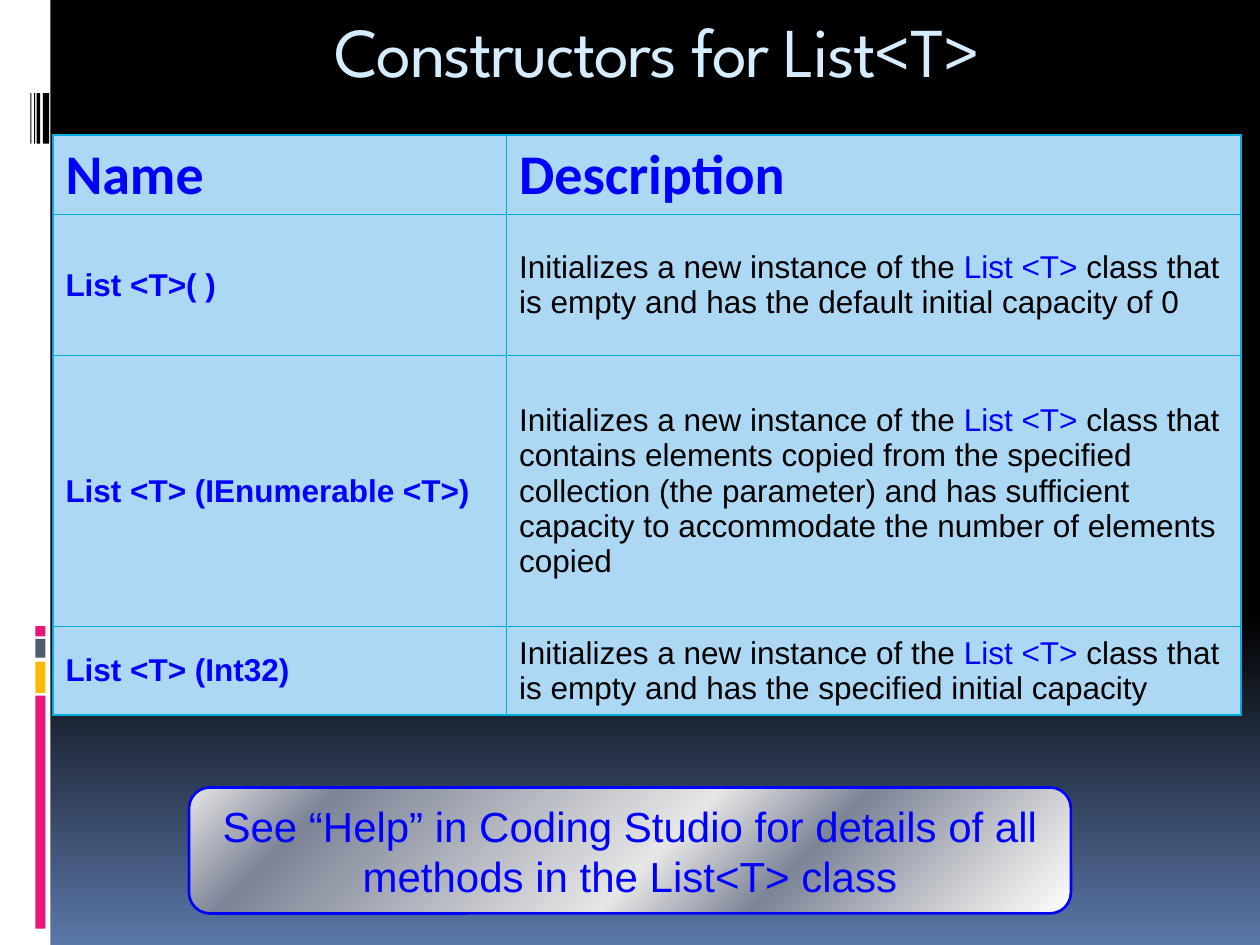
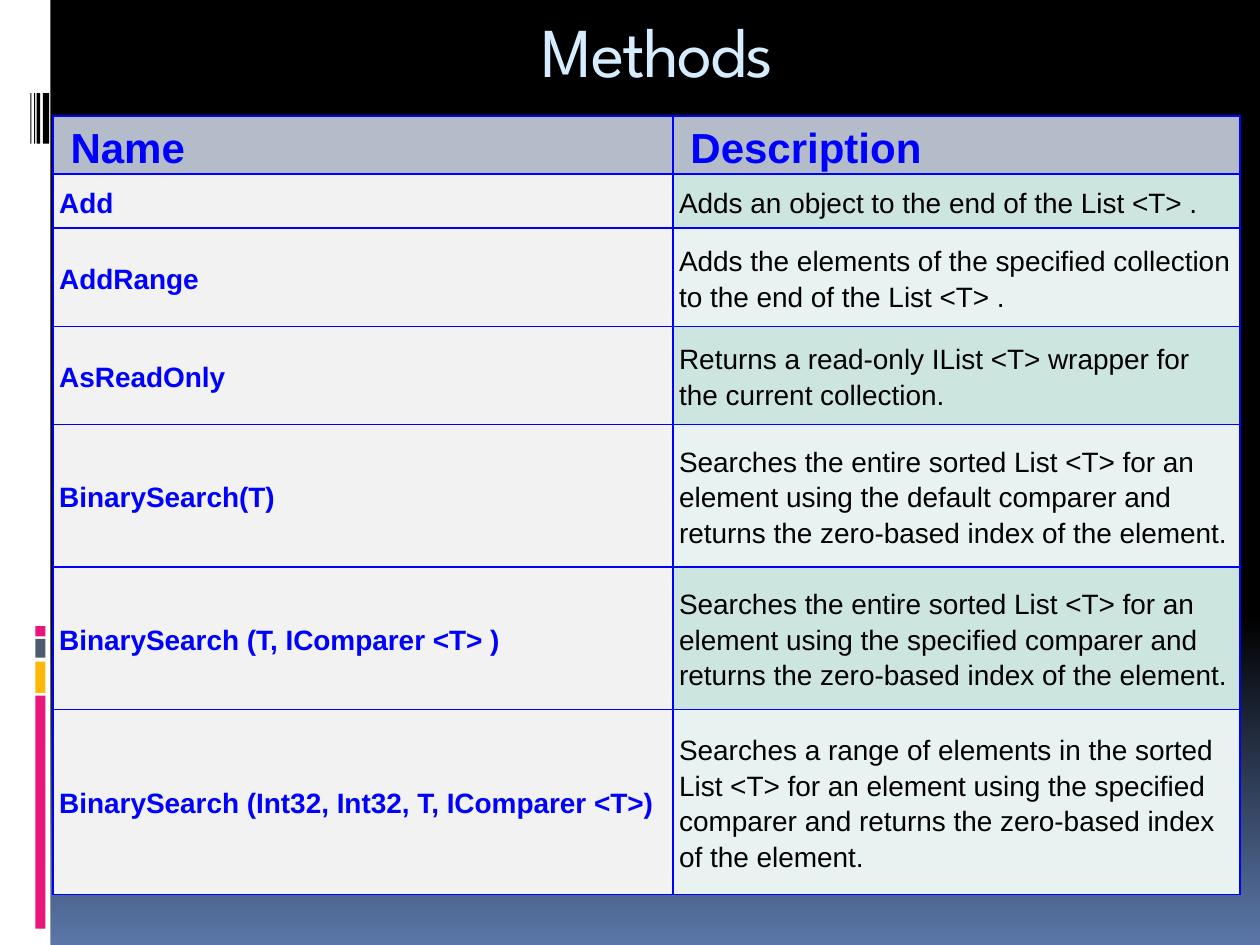
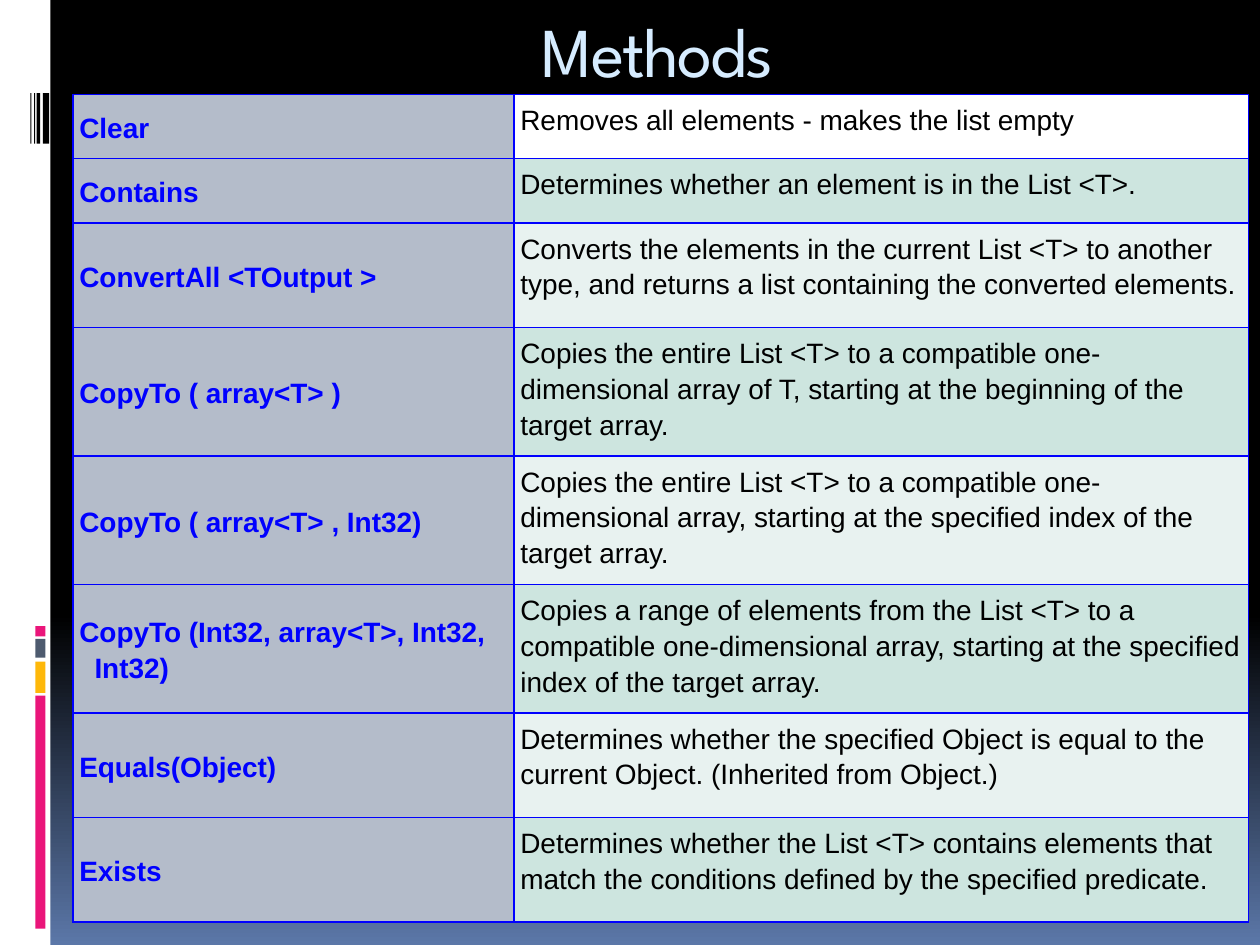
from lxml import etree
from pptx import Presentation
from pptx import util as u
from pptx.dml.color import RGBColor
from pptx.enum import shapes, text
from pptx.oxml.ns import qn

BLACK = RGBColor(0x00, 0x00, 0x00)
WHITE = RGBColor(0xFF, 0xFF, 0xFF)
BLUE = RGBColor(0x00, 0x00, 0xFF)
CYAN = RGBColor(0x00, 0xAD, 0xDC)
STEEL = RGBColor(0x5B, 0x77, 0xA8)
PINK = RGBColor(0xEA, 0x15, 0x7A)
GOLD = RGBColor(0xFE, 0xB8, 0x0A)
SLATE = RGBColor(0x4E, 0x5B, 0x6F)
ICE = RGBColor(0xD6, 0xEC, 0xFF)
SKY = RGBColor(0xAC, 0xD8, 0xF3)
GREY = RGBColor(0xB4, 0xBC, 0xCA)
MIST = RGBColor(0xF2, 0xF2, 0xF2)
MINT = RGBColor(0xCD, 0xE5, 0xDF)
PALE = RGBColor(0xE8, 0xF2, 0xF0)
SILVER = RGBColor(0xE6, 0xE6, 0xE6)
LEAD = RGBColor(0x7D, 0x84, 0x96)

COLS, ROWS = 100, 75
UNIT = u.Inches(0.1)
MID = text.MSO_ANCHOR.MIDDLE
TOP = text.MSO_ANCHOR.TOP
CENTER = text.PP_ALIGN.CENTER
TYPE = "List <T>"

BARS = [
    (0, 0, 4, ROWS, WHITE),
    (2.8, 55.2, 0.8, 18.5, PINK),
    (2.8, 52.5, 0.8, 2.5, GOLD),
    (2.8, 50.7, 0.8, 1.5, SLATE),
    (2.8, 49.7, 0.8, 0.8, PINK),
    (3.4, 7.4, 0.5, 4, BLACK),
    (2.9, 7.4, 0.3, 4, BLACK),
    (2.7, 7.4, 0.1, 4, BLACK),
    (2.4, 7.4, 0.1, 4, BLACK),
]

NAMES = {"size": u.Pt(16), "name": "Arial", "bold": True}
NOTES = {"size": u.Pt(16), "name": "Arial", "bold": False}
LOOSE = {"line_spacing": 1.15, "space_before": u.Pt(3.8),
         "space_after": u.Pt(3.8)}

BUILDS = [
    ("List <T>( )", "Initializes a new instance of the List <T> class that "
     "is empty and has the default initial capacity of 0"),
    ("List <T> (IEnumerable <T>)",
     "Initializes a new instance of the List <T> class that contains elements "
     "copied from the specified collection (the parameter) and has sufficient "
     "capacity to accommodate the number of elements copied"),
    ("List <T> (Int32)", "Initializes a new instance of the List <T> class "
     "that is empty and has the specified initial capacity"),
]
ADDS = [
    ("Add", "Adds an object to the end of the List <T> ."),
    ("AddRange", "Adds the elements of the specified collection to the end "
     "of the List <T> ."),
    ("AsReadOnly",
     "Returns a read-only IList <T> wrapper for the current collection."),
    ("BinarySearch(T)",
     "Searches the entire sorted List <T> for an element using the default "
     "comparer and returns the zero-based index of the element."),
    ("BinarySearch (T, IComparer <T> )",
     "Searches the entire sorted List <T> for an element using the specified "
     "comparer and returns the zero-based index of the element."),
    ("BinarySearch (Int32, Int32, T, IComparer <T>)",
     "Searches a range of elements in the sorted List <T> for an element "
     "using the specified comparer and returns the zero-based index of the "
     "element."),
]
COPIES = [
    ("Clear", "Removes all elements - makes the list empty"),
    ("Contains", "Determines whether an element is in the List <T>."),
    ("ConvertAll <TOutput >",
     "Converts the elements in the current List <T> to another type, and "
     "returns a list containing the converted elements."),
    ("CopyTo ( array<T> )",
     "Copies the entire List <T> to a compatible one-dimensional array of T, "
     "starting at the beginning of the target array."),
    ("CopyTo ( array<T> , Int32)",
     "Copies the entire List <T> to a compatible one-dimensional array, "
     "starting at the specified index of the target array."),
    ("CopyTo (Int32, array<T>, Int32, Int32)",
     "Copies a range of elements from the List <T> to a compatible "
     "one-dimensional array, starting at the specified index of the target "
     "array."),
    ("Equals(Object)", "Determines whether the specified Object is equal to "
     "the current Object. (Inherited from Object.)"),
    ("Exists", "Determines whether the List <T> contains elements that match "
     "the conditions defined by the specified predicate."),
]


def at(*cells):
    """Turn grid columns and rows into lengths."""
    return [round(c * UNIT) for c in cells]


def put(item, vals):
    """Set each named format value on an item."""
    for key, val in vals.items():
        setattr(item, key, val)


def write(para, words, color, font):
    """Add one run of formatted text."""
    run = para.add_run()
    run.text = words
    put(run.font, font)
    run.font.color.rgb = color
    return run


def blend(fill, root, stops):
    """Give a fill several gradient stops and return its node."""
    fill.gradient()
    grad = root.find(".//" + qn("a:gradFill"))
    for node in list(grad):
        grad.remove(node)
    group = etree.SubElement(grad, qn("a:gsLst"))
    for pos, color in stops:
        stop = etree.SubElement(group, qn("a:gs"), pos=str(pos * 1000))
        etree.SubElement(stop, qn("a:srgbClr"), val=str(color))
    return grad


def shape(slide, kind, box):
    """Add a preset shape without a shadow."""
    item = slide.shapes.add_shape(kind, *at(*box))
    item.shadow.inherit = False
    return item


def theme(deck, slide):
    """Give the master its background and side bars."""
    master = deck.slide_master
    grad = blend(master.background.fill, master.element,
                 [(0, BLACK), (65, BLACK), (100, STEEL)])
    etree.SubElement(grad, qn("a:lin"), ang="5400000", scaled="0")
    for num, (*box, color) in enumerate(BARS, 20):
        bar = shape(slide, shapes.MSO_SHAPE.RECTANGLE, box)
        bar.fill.solid()
        bar.fill.fore_color.rgb = color
        bar.line.fill.background()
        bar.element.find(".//" + qn("p:cNvPr")).set("id", str(num))
        master.element.cSld.spTree.append(bar.element)


def title(slide, words):
    """Add the slide title."""
    frame = slide.shapes.add_textbox(*at(4.2, 0.1, 96, 6.9)).text_frame
    put(frame, {"word_wrap": True, "vertical_anchor": TOP})
    para = frame.paragraphs[0]
    para.alignment = CENTER
    run = write(para, words, ICE, {"size": u.Pt(40), "name": "League Spartan"})
    run.font.element.set("spc", "-100") if hasattr(run.font, "element") else \
        run._r.get_or_add_rPr().set("spc", "-100")


def edge(cell, color, width):
    """Draw the four borders of a cell."""
    props = cell._tc.get_or_add_tcPr()
    for spot, side in enumerate(("lnL", "lnR", "lnT", "lnB")):
        line = etree.Element(qn("a:" + side), w=str(u.Pt(width)))
        paint = etree.SubElement(line, qn("a:solidFill"))
        etree.SubElement(paint, qn("a:srgbClr"), val=str(color))
        props.insert(spot, line)


def pad(cell, wide, high):
    """Set the side and the upper and lower margins of a cell."""
    for side in ("left", "right"):
        setattr(cell, "margin_" + side, u.Inches(wide))
    for side in ("top", "bottom"):
        setattr(cell, "margin_" + side, u.Inches(high))


def fill(cell, parts, font, color, anchor=MID, gaps=None):
    """Fill a cell with colored parts of text."""
    cell.vertical_anchor = anchor
    cell.fill.solid()
    cell.fill.fore_color.rgb = color
    para = cell.text_frame.paragraphs[0]
    put(para, gaps or {})
    for words, ink in parts:
        write(para, words, ink, font)


def table(slide, spot, cols, rows, line, width):
    """Add a bare table with borders and return it."""
    frame = slide.shapes.add_table(len(rows), len(cols),
                                   *at(*spot, sum(cols), sum(rows)))
    grid = frame.table
    put(grid, {"first_row": False, "horz_banding": False})
    for col, size in zip(grid.columns, at(*cols)):
        col.width = size
    for row, size in zip(grid.rows, at(*rows)):
        row.height = size
    for cell in grid.iter_cells():
        edge(cell, line, width)
    return grid


def methods(grid, first, items, side, bands, anchor):
    """Fill table rows with method names and their descriptions."""
    for row, (pair, band) in enumerate(zip(items, bands), first):
        left, right = grid.cell(row, 0), grid.cell(row, 1)
        for cell in (left, right):
            pad(cell, 0.05, 0.05)
        fill(left, [(pair[0], BLUE)], NAMES, side, gaps=LOOSE)
        fill(right, [(pair[1], BLACK)], NOTES, band, anchor, LOOSE)
        hang = left.text_frame.paragraphs[0]._p.get_or_add_pPr()
        hang.set("marL", str(u.Inches(0.12)))
        hang.set("indent", str(-u.Inches(0.12)))


def heads(grid, font, color, gaps=None):
    """Fill the heading row."""
    for col, words in enumerate(("Name", "Description")):
        fill(grid.cell(0, col), [(words, BLUE)], font, color, gaps=gaps)


def builds(slide):
    """Add the table of constructors."""
    grid = table(slide, (4.2, 10.7), (36, 58.3), (5.8, 11.2, 21.5, 6.4),
                 CYAN, 0.94)
    heads(grid, {"size": u.Pt(32), "name": "Calibri", "bold": True}, SKY)
    size = {"size": u.Pt(18)}
    for row, (name, note) in enumerate(BUILDS, 1):
        fill(grid.cell(row, 0), [(name, BLUE)], NAMES | size, SKY)
        parts = zip(note.partition(TYPE), (BLACK, BLUE, BLACK))
        fill(grid.cell(row, 1), parts, NOTES | size, SKY)


def hint(slide, words):
    """Add the rounded metal note."""
    note = shape(slide, shapes.MSO_SHAPE.ROUNDED_RECTANGLE, (15, 62.5, 70, 10))
    grad = blend(note.fill, note.element, [
        (0, WHITE), (7, SILVER), (32, LEAD), (47, SILVER), (85, LEAD),
        (100, SILVER)])
    way = etree.SubElement(grad, qn("a:path"), path="circle")
    etree.SubElement(way, qn("a:fillToRect"), l="100000", t="100000")
    note.line.color.rgb = BLUE
    note.line.width = u.Pt(1.5)
    put(note.text_frame, {"word_wrap": True, "vertical_anchor": MID})
    para = note.text_frame.paragraphs[0]
    para.alignment = CENTER
    write(para, words, BLUE, {"size": u.Pt(24), "name": "Arial"})


def main():
    """Build the three slides."""
    deck = Presentation()
    put(deck, {"slide_width": COLS * UNIT, "slide_height": ROWS * UNIT})
    one, two, three = [deck.slides.add_slide(deck.slide_layouts[6])
                       for _ in range(3)]
    theme(deck, one)

    title(one, "Constructors for List<T>")
    builds(one)
    hint(one, "See “Help” in Coding Studio for details of all methods in "
              "the List<T> class")

    title(two, "Methods")
    grid = table(two, (4.2, 9.2), (49.2, 45),
                 (3.6, 4.3, 7.8, 7.8, 11.3, 11.3, 14.7), BLUE, 1)
    heads(grid, NAMES | {"size": u.Pt(24)}, GREY, LOOSE)
    for cell in grid.rows[0].cells:
        pad(cell, 0.14, 0)
    methods(grid, 1, ADDS, MIST, [MINT, PALE] * 3, MID)

    title(three, "Methods")
    grid = table(three, (5.8, 7.5), (35, 58.3), [5.1] * 2 + [8.3] * 6, BLUE, 1)
    methods(grid, 0, COPIES, GREY, [WHITE] + [MINT, PALE] * 4, TOP)
    deck.save("out.pptx")


if __name__ == "__main__":
    main()
